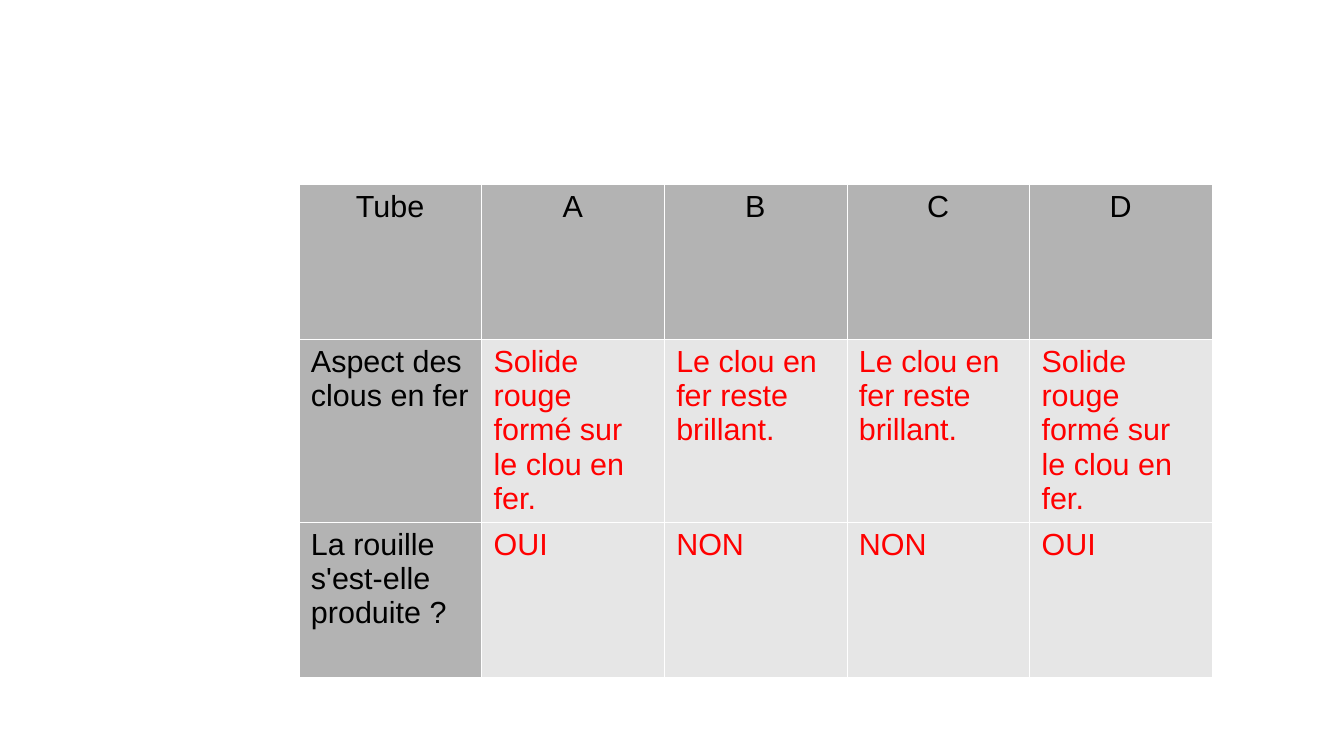
"""Build a slide with a table on the rusting of iron nails."""
from lxml.etree import SubElement
from pptx import Presentation
from pptx.dml.color import RGBColor
from pptx.enum.text import PP_ALIGN
from pptx.oxml.ns import qn
from pptx.util import Inches, Pt


def rgb(value):
    return RGBColor.from_string(value)


def add_borders(cell, color, width):
    tcPr = cell._tc.get_or_add_tcPr()
    for i, side in enumerate(("a:lnL", "a:lnR", "a:lnT", "a:lnB")):
        ln = tcPr.makeelement(qn(side), {"w": str(width)})
        fill = SubElement(ln, qn("a:solidFill"))
        SubElement(fill, qn("a:srgbClr"), val=color)
        tcPr.insert(i, ln)


RUST = "Solide rouge formé sur le clou en fer."
SHINY = "Le clou en fer reste brillant."
ROWS = [
    ["Tube", "A", "B", "C", "D"],
    ["Aspect des clous en fer", RUST, SHINY, SHINY, RUST],
    ["La rouille s'est-elle produite ?", "OUI", "NON", "NON", "OUI"],
]

prs = Presentation()
prs.slide_width = Inches(11.02)
prs.slide_height = Inches(6.2)
s = prs.slides.add_slide(prs.slide_layouts[6])

frame = s.shapes.add_table(len(ROWS), len(ROWS[0]), Inches(2.45), Inches(1.51),
                           Inches(7.49), Inches(3.81))
table = frame.table
table.first_row = False
table.horz_banding = False
for row in table.rows:
    row.height = Inches(1.27)

for i, texts in enumerate(ROWS):
    for j, text in enumerate(texts):
        header = i == 0 or j == 0
        cell = table.cell(i, j)
        cell.fill.solid()
        cell.fill.fore_color.rgb = rgb("B3B3B3" if header else "E6E6E6")
        add_borders(cell, "FFFFFF", Pt(0.06))
        cell.text_frame.text = text
        p = cell.text_frame.paragraphs[0]
        p.alignment = PP_ALIGN.CENTER if i == 0 else PP_ALIGN.LEFT
        r = p.runs[0]
        r.font.name = "Arial"
        r.font.size = Pt(18)
        r.font.color.rgb = rgb("000000" if header else "FF0000")

prs.save("out.pptx")
